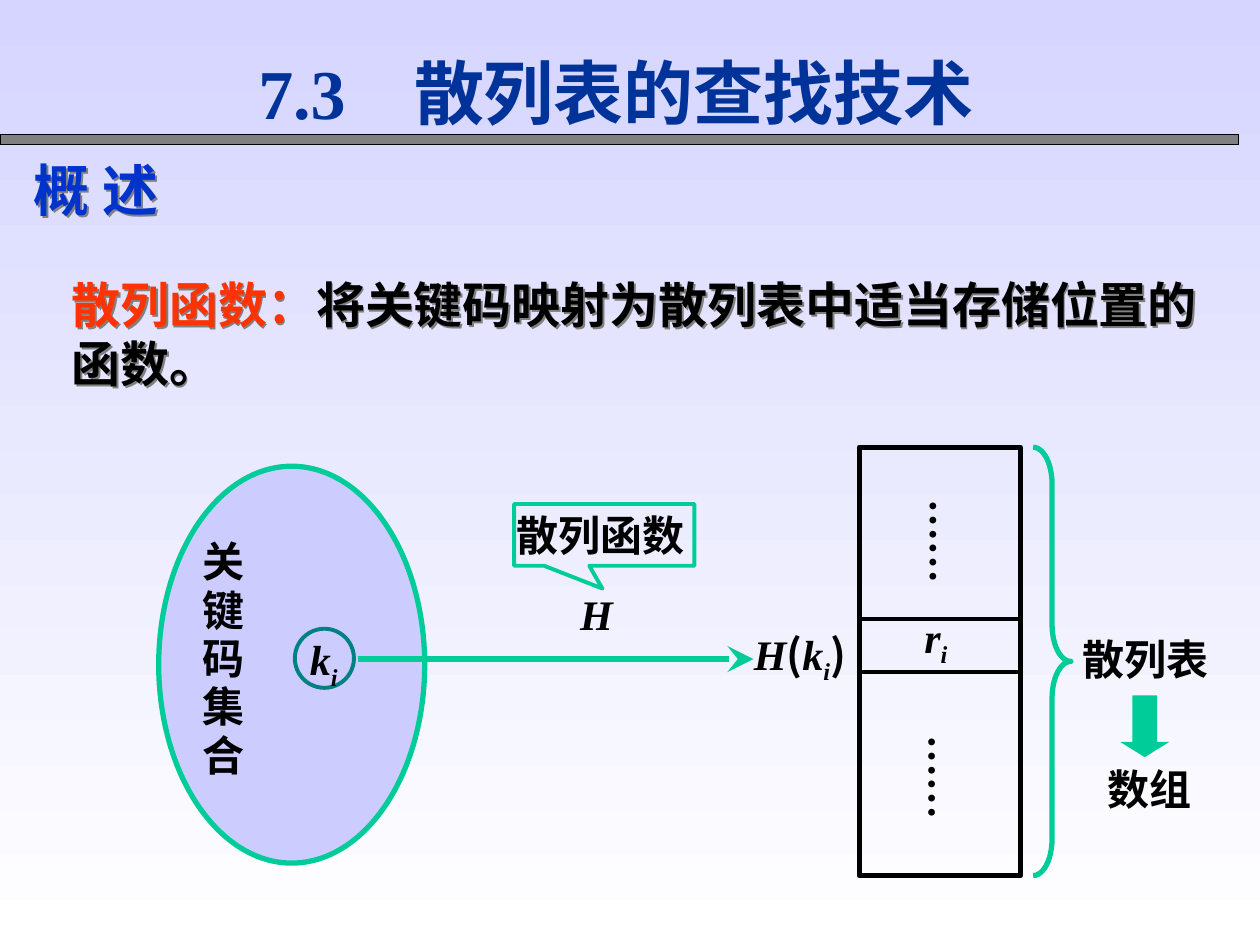
from dataclasses import dataclass
from typing import NamedTuple

from lxml.etree import SubElement
from pptx import Presentation
from pptx.dml.color import RGBColor
from pptx.enum.shapes import MSO_CONNECTOR, MSO_SHAPE
from pptx.enum.text import MSO_ANCHOR, MSO_AUTO_SIZE, PP_ALIGN
from pptx.oxml import parse_xml
from pptx.oxml.ns import nsdecls, qn
from pptx.util import Pt


@dataclass(frozen=True)
class Theme:
    serif: str = "Times New Roman"
    sans: str = "Arial"
    chinese: str = "Noto Sans CJK SC"
    title_size: int = 40
    heading_size: int = 32
    body_size: int = 28
    label_size: int = 24
    title: str = "003399"
    heading: str = "0033CC"
    term: str = "FF3300"
    ink: str = "000000"
    accent: str = "00CC99"
    key: str = "008080"
    key_set: str = "CCCCFF"
    bar: str = "808080"
    sky_top: str = "D5D5FF"
    sky_bottom: str = "FFFFFF"
    line_height: float = 1.2
    tight_height: float = 1.15


THEME = Theme()


class Box(NamedTuple):
    left: float
    top: float
    width: float
    height: float


class Piece(NamedTuple):
    text: str
    font: str = THEME.serif
    color: str = THEME.ink
    italic: bool = False
    sub: bool = False
    east_asian: str = THEME.chinese


@dataclass(frozen=True)
class Label:
    box: Box
    pieces: tuple[Piece, ...]
    size: int = THEME.label_size
    insets: tuple[float, float, float, float] = (1.4, 0, 1.4, 0)
    spacing: float = THEME.tight_height
    align: PP_ALIGN = PP_ALIGN.LEFT
    anchor: MSO_ANCHOR = MSO_ANCHOR.TOP
    vertical: bool = False
    shadow: bool = False
    tab: float | None = None


@dataclass(frozen=True)
class Figure:
    kind: MSO_SHAPE
    box: Box
    fill: str | None = None
    line: str | None = None
    weight: float = 3
    adjustments: tuple[float, ...] = ()


PADDED = (7.2, 3.6, 7.2, 3.6)


def points(values) -> list:
    return [Pt(value) for value in values]


def rgb(code: str) -> RGBColor:
    return RGBColor.from_string(code)


def add_piece(paragraph, piece: Piece, size: int) -> None:
    run = paragraph.add_run()
    run.text = piece.text
    font = run.font
    font.size, font.bold, font.italic = Pt(size), True, piece.italic
    font.color.rgb = rgb(piece.color)
    font.name = piece.font
    properties = run._r.get_or_add_rPr()
    properties.find(qn("a:latin")).addnext(
        parse_xml(f'<a:ea {nsdecls("a")} typeface="{piece.east_asian}"/>'))
    if piece.sub:
        properties.set("baseline", "-25000")


def write(shape, label: Label) -> None:
    frame = shape.text_frame
    frame.word_wrap = True
    frame.auto_size = MSO_AUTO_SIZE.NONE
    frame.vertical_anchor = label.anchor
    (frame.margin_left, frame.margin_top,
     frame.margin_right, frame.margin_bottom) = points(label.insets)
    if label.vertical:
        frame._txBody.bodyPr.set("vert", "eaVert")
    paragraph = frame.paragraphs[0]
    paragraph.alignment = label.align
    paragraph.line_spacing = Pt(label.size * label.spacing)
    if label.tab:
        stops = SubElement(paragraph._p.get_or_add_pPr(), qn("a:tabLst"))
        SubElement(stops, qn("a:tab"), pos=str(Pt(label.tab)), algn="l")
    for piece in label.pieces:
        add_piece(paragraph, piece, label.size)


def add_label(slide, label: Label) -> None:
    shape = slide.shapes.add_textbox(*points(label.box))
    write(shape, label)
    if label.shadow:  # an unfilled box casts the shadow of its text
        shape._element.spPr.append(parse_xml(
            f'<a:effectLst {nsdecls("a")}><a:outerShdw dist="{Pt(1.4)}" dir="2700000">'
            f'<a:srgbClr val="{THEME.bar}"/></a:outerShdw></a:effectLst>'))


def add_figure(slide, figure: Figure):
    shape = slide.shapes.add_shape(figure.kind, *points(figure.box))
    shape.shadow.inherit = False
    for index, value in enumerate(figure.adjustments):
        shape.adjustments[index] = value
    if figure.fill:
        shape.fill.solid()
        shape.fill.fore_color.rgb = rgb(figure.fill)
    else:
        shape.fill.background()
    if figure.line:
        shape.line.color.rgb = rgb(figure.line)
        shape.line.width = Pt(figure.weight)
    else:
        shape.line.fill.background()
    return shape


def add_rule(slide, left: float, right: float, y: float, color: str,
             weight: float, arrow: bool = False) -> None:
    rule = slide.shapes.add_connector(MSO_CONNECTOR.STRAIGHT, *points((left, y, right, y)))
    rule.line.color.rgb = rgb(color)
    rule.line.width = Pt(weight)
    if arrow:
        SubElement(rule.line._get_or_add_ln(), qn("a:tailEnd"), type="stealth", w="lg", len="lg")
    SubElement(rule._element.spPr, qn("a:effectLst"))


def italic(letter: str, index: str = "") -> tuple[Piece, ...]:
    base = Piece(letter, italic=True)
    return (base, Piece(index, italic=True, sub=True)) if index else (base,)


def main() -> None:
    deck = Presentation()
    deck.slide_width, deck.slide_height = Pt(720), Pt(540)
    slide = deck.slides.add_slide(deck.slide_layouts[5])

    # Background and title bar
    sky = slide.background.fill
    sky.gradient()
    sky.gradient_angle = 270
    for stop, color in zip(sky.gradient_stops, (THEME.sky_top, THEME.sky_bottom)):
        stop.color.rgb = rgb(color)
    add_figure(slide, Figure(MSO_SHAPE.RECTANGLE, Box(0, 77, 707.8, 5.8),
                             THEME.bar, THEME.ink, 0.75))

    # Title, with a tab stop between number and words
    title = slide.shapes.title
    heading = Label(Box(140.4, 25.2, 432.7, 54),
                    (Piece("7.3\t散列表的查找技术", color=THEME.title),),
                    THEME.title_size, PADDED, THEME.line_height,
                    anchor=MSO_ANCHOR.MIDDLE, tab=89)
    title.left, title.top, title.width, title.height = points(heading.box)
    write(title, heading)

    # Section heading and definition
    add_label(slide, Label(Box(12.2, 85.5, 504, 46),
                           (Piece("概 述", THEME.chinese, THEME.heading),),
                           THEME.heading_size, PADDED, THEME.line_height, shadow=True))
    add_label(slide, Label(Box(33.8, 153.4, 660.2, 75),
                           (Piece("散列函数：", color=THEME.term),
                            Piece("将关键码映射为散列表中适当存储位置的函数。")),
                           THEME.body_size, PADDED, THEME.line_height, shadow=True))

    # Key set, key, hash table, brace and arrow to the array
    table = Box(491, 255.6, 92.2, 244.8)
    for figure in (
        Figure(MSO_SHAPE.OVAL, Box(90.7, 266.4, 152, 226.8), THEME.key_set, THEME.accent),
        Figure(MSO_SHAPE.OVAL, Box(168.5, 359.3, 33.8, 33.8), None, THEME.key, 2.25),
        Figure(MSO_SHAPE.RECTANGLE, table, None, THEME.ink),
        Figure(MSO_SHAPE.RIGHT_BRACE, Box(590.4, table.top, 21.6, table.height),
               None, THEME.accent, adjustments=(0.97, 0.5)),
        Figure(MSO_SHAPE.DOWN_ARROW, Box(640.1, 397.4, 28.1, 35.3), THEME.accent,
               adjustments=(0.5, 0.31)),
    ):
        add_figure(slide, figure)

    # Record cell borders and mapping arrow
    for border in (353.5, 383.8):
        add_rule(slide, table.left, table.left + table.width, border, THEME.ink, 2.25)
    add_rule(slide, 204.5, 430.6, 376.6, THEME.accent, 3, arrow=True)

    # Callout naming the hash function
    callout = Label(Box(293.8, 288, 103, 35.3), (Piece("散列函数", THEME.sans),),
                    insets=(1.4, 0.7, 1.4, 0.7), spacing=THEME.line_height,
                    anchor=MSO_ANCHOR.MIDDLE)
    write(add_figure(slide, Figure(MSO_SHAPE.RECTANGULAR_CALLOUT, callout.box, None,
                                   THEME.accent, 2.25, (-0.01, 0.87))), callout)

    # Diagram labels
    address = (*italic("H"), Piece("(", THEME.chinese), *italic("k", "i"),
               Piece(")", THEME.chinese))
    for label in (
        Label(Box(114.5, 307.4, 24.5, 138.2), (Piece("关键码集合"),)),
        Label(Box(175.7, 367.2, 28.8, 26), italic("k", "i")),
        Label(Box(264.2, 337.2, 153.4, 26.6), italic("H"), align=PP_ALIGN.CENTER),
        Label(Box(429.4, 364.2, 58.3, 20.2), address),
        Label(Box(table.left - 2.3, 354.4, table.width, 30), italic("r", "i"),
              align=PP_ALIGN.CENTER),
        Label(Box(611.3, 358.6, 87.1, 36), (Piece("散列表", THEME.sans),),
              insets=PADDED, spacing=THEME.line_height),
        Label(Box(625.7, 433, 64.1, 36), (Piece("数组", THEME.sans),),
              insets=PADDED, spacing=THEME.line_height),
    ):
        add_label(slide, label)

    # Omitted records above and below the cell
    for left, top in ((530.6, 284.2), (529.9, 418.8)):
        add_label(slide, Label(Box(left, top, 26.6, 64.8),
                               (Piece("……", east_asian=THEME.serif),),
                               insets=(0, 1.4, 2.9, 1.4), vertical=True))

    deck.save("out.pptx")


if __name__ == "__main__":
    main()
